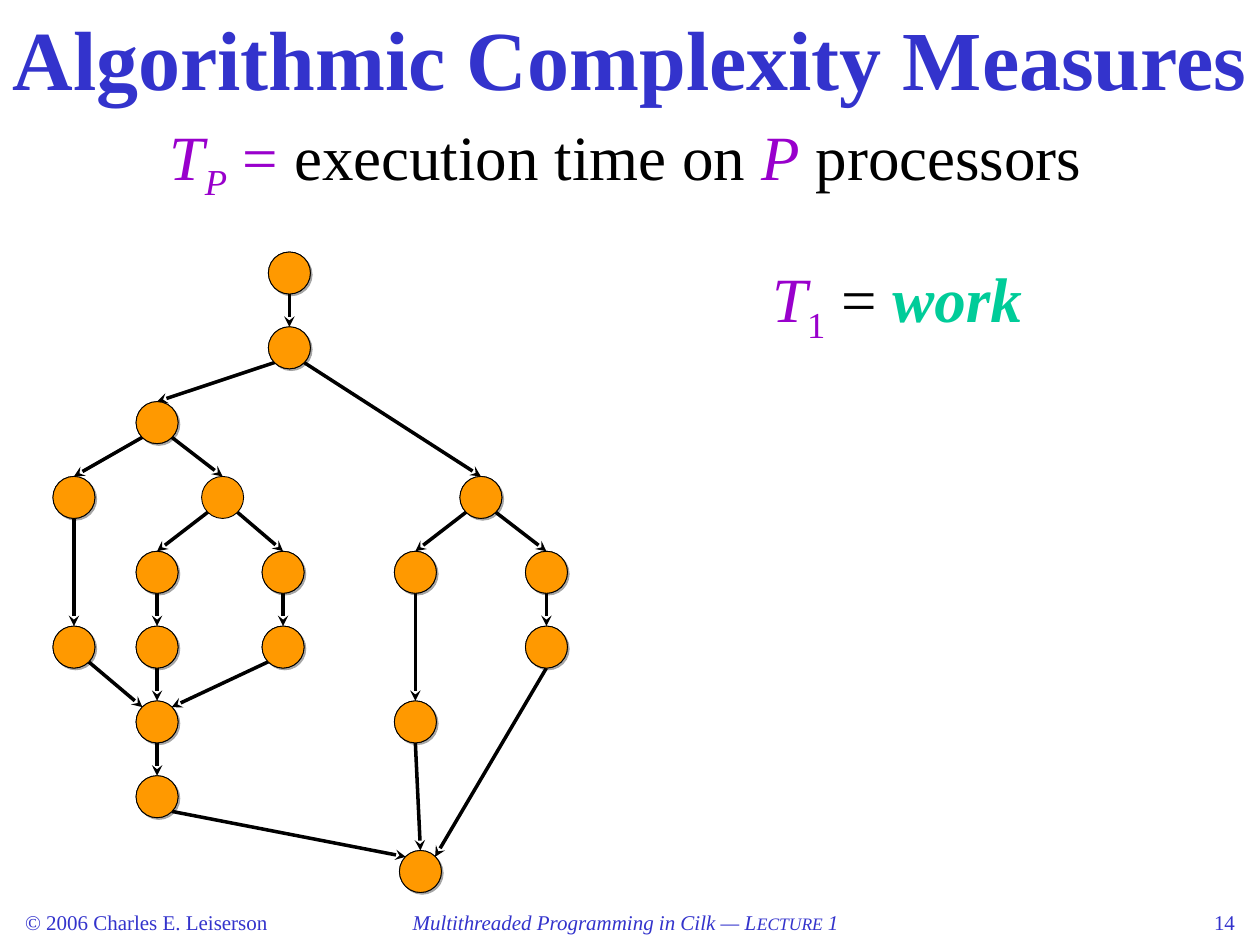
from lxml import etree
from pptx import Presentation
from pptx.dml.color import RGBColor
from pptx.enum.shapes import MSO_CONNECTOR as CONN, MSO_SHAPE as SHAPE
from pptx.enum.text import PP_ALIGN as AL
from pptx.oxml import parse_xml
from pptx.oxml.ns import nsdecls, qn
from pptx.util import Inches, Pt


def rgb(h):
    return RGBColor.from_string(h)


def add_text(box, runs, align=AL.LEFT):
    tb = s.shapes.add_textbox(*map(Inches, box))
    tf = tb.text_frame
    tf.word_wrap = True
    p = tf.paragraphs[0]
    p.alignment = align
    for text, size, color, fmt in runs:
        r = p.add_run()
        r.text = text
        r.font.name = "Times New Roman"
        r.font.size = Pt(size)
        r.font.color.rgb = rgb(color)
        for key, value in fmt.items():
            if key == "baseline":
                r.font._element.set(key, str(value))
            else:
                setattr(r.font, key, value)


BLUE, PURPLE, GREEN, BLACK = "3333CC", "9900CC", "00CC99", "000000"
ITALIC = {"italic": True}
BOLD = {"bold": True}
SUB = {"baseline": -25000}

prs = Presentation()
prs.slide_width, prs.slide_height = Inches(10), Inches(7.5)
s = prs.slides.add_slide(prs.slide_layouts[6])

add_text((0.1, 7.17, 2.42, 0.33), [("© 2006 Charles E. Leiserson", 12, BLUE, {})])
add_text((2.63, 7.17, 4.67, 0.33), [
    ("Multithreaded Programming in Cilk — L", 12, BLUE, ITALIC),
    ("ECTURE", 10, BLUE, ITALIC),
    (" 1", 12, BLUE, ITALIC),
], AL.CENTER)

D = 1 / 3
TOP, PITCH = 2, 4.75 / 8
columns = {
    "start": (2.13, 0), "fork": (2.13, 1), "left": (1.08, 2),
    "a": (0.42, 3), "b": (1.6, 3), "right": (3.65, 3),
    "b1": (1.08, 4), "b2": (2.08, 4), "c1": (3.13, 4), "c2": (4.17, 4),
    "a_end": (0.42, 5), "b1_end": (1.08, 5), "b2_end": (2.08, 5), "c2_end": (4.17, 5),
    "join": (1.08, 6), "c1_end": (3.13, 6), "left_end": (1.08, 7), "end": (3.17, 8),
}
nodes = {name: (x, TOP + row * PITCH) for name, (x, row) in columns.items()}
near, far = 0.15 * D, 0.85 * D
sites = {"t": (D / 2, 0), "b": (D / 2, D), "tl": (near, near),
         "tr": (far, near), "bl": (near, far), "br": (far, far)}
edges = [
    ("start", "b", "fork", "t"), ("fork", "bl", "left", "t"),
    ("fork", "br", "right", "t"), ("left", "bl", "a", "t"),
    ("left", "br", "b", "t"), ("a", "b", "a_end", "t"),
    ("b", "bl", "b1", "t"), ("b", "br", "b2", "t"),
    ("b1", "b", "b1_end", "t"), ("b2", "b", "b2_end", "t"),
    ("a_end", "br", "join", "tl"), ("b1_end", "b", "join", "t"),
    ("b2_end", "bl", "join", "tr"), ("join", "b", "left_end", "t"),
    ("left_end", "br", "end", "tl"), ("right", "bl", "c1", "t"),
    ("right", "br", "c2", "t"), ("c1", "b", "c1_end", "t"),
    ("c2", "b", "c2_end", "t"), ("c1_end", "b", "end", "t"),
    ("c2_end", "b", "end", "tr"),
]
SHADOW = (f'<a:effectLst {nsdecls("a")}><a:outerShdw dist="17961" dir="2700000">'
          '<a:srgbClr val="4D4D4D"><a:alpha val="50000"/></a:srgbClr>'
          '</a:outerShdw></a:effectLst>')

for fill in ("C0C0C0", "FF9900"):
    for name, (x, y) in nodes.items():
        if fill == "C0C0C0" and name == "b":
            continue
        sp = s.shapes.add_shape(SHAPE.OVAL, *map(Inches, (x, y, D, D)))
        sp.fill.solid()
        sp.fill.fore_color.rgb = rgb(fill)
        sp.line.color.rgb = rgb(BLACK)
        sp.line.width = Pt(0.5)
        if fill == "C0C0C0":
            sp._element.spPr.append(parse_xml(SHADOW))
        else:
            sp.shadow.inherit = False
    if fill == "FF9900":
        continue
    for tail, out, head, into in edges:
        x1, y1 = (n + d for n, d in zip(nodes[tail], sites[out]))
        x2, y2 = (n + d for n, d in zip(nodes[head], sites[into]))
        c = s.shapes.add_connector(CONN.STRAIGHT, *map(Inches, (x1, y1, x2, y2)))
        c.line.color.rgb = rgb(BLACK)
        c.line.width = Pt(2)
        etree.SubElement(c.line._get_or_add_ln(), qn("a:tailEnd"), type="stealth")
        etree.SubElement(c._element.spPr, qn("a:effectLst"))

add_text((0, 0, 10, 0.67), [("Algorithmic Complexity Measures", 48, BLUE, BOLD)],
         AL.CENTER)
add_text((1.25, 0.88, 7.6, 0.79), [
    ("T", 36, PURPLE, ITALIC),
    ("P", 36, PURPLE, ITALIC | SUB),
    (" =", 36, PURPLE, {}),
    (" execution time on ", 36, BLACK, {}),
    ("P", 36, PURPLE, ITALIC),
    (" processors", 36, BLACK, {}),
])
add_text((6.03, 2.01, 2.4, 0.79), [
    ("T", 36, PURPLE, ITALIC),
    ("1", 36, PURPLE, SUB),
    (" = ", 36, BLACK, {}),
    ("work", 36, GREEN, ITALIC | BOLD),
])
add_text((7.4, 7.17, 2.5, 0.33), [("14", 12, BLUE, {})], AL.RIGHT)

prs.save("out.pptx")
